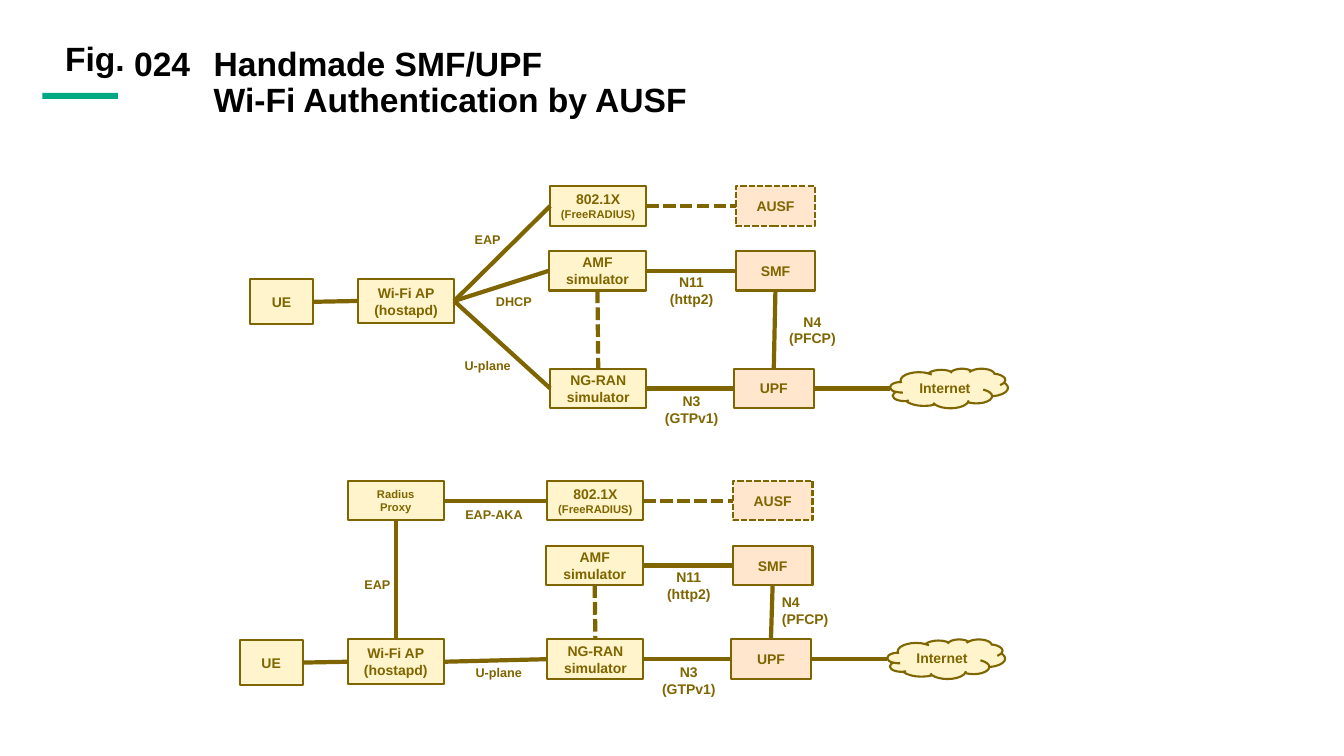
from lxml.etree import SubElement
from pptx import Presentation
from pptx.dml.color import RGBColor
from pptx.enum.dml import MSO_LINE
from pptx.enum.shapes import MSO_CONNECTOR, MSO_SHAPE
from pptx.enum.text import MSO_ANCHOR, MSO_AUTO_SIZE, PP_ALIGN
from pptx.oxml.ns import qn
from pptx.util import Pt

BLACK = RGBColor(0x00, 0x00, 0x00)
GREEN = RGBColor(0x01, 0xA9, 0x82)
BROWN = RGBColor(0x7F, 0x65, 0x00)
CREAM = RGBColor(0xFF, 0xF4, 0xCC)
PEACH = RGBColor(0xFF, 0xE6, 0xCC)
TOP, LEFT, BASE, RIGHT = range(4)


def text(shape, words, size=10, small=None, color=BROWN, align=PP_ALIGN.CENTER,
         anchor=MSO_ANCHOR.MIDDLE, pad=(0, 0), lead=1.0, plain=False):
    frame = shape.text_frame
    frame.word_wrap = True
    frame.auto_size = MSO_AUTO_SIZE.NONE
    frame.vertical_anchor = anchor
    frame.margin_left = frame.margin_right = Pt(pad[0])
    frame.margin_top = frame.margin_bottom = Pt(pad[1])
    for i, line in enumerate(words.split("\n")):
        para = frame.add_paragraph() if i else frame.paragraphs[0]
        para.text = line
        if plain:
            props = para._p.get_or_add_pPr()
            props.set("marL", "0")
            props.set("indent", "0")
            SubElement(props, qn("a:buNone"))
        para.alignment = align
        para.line_spacing = lead
        para.space_before = Pt(0)
        for run in para.runs:
            run.font.name = "Arial"
            run.font.size = Pt(small if i and small else size)
            run.font.bold = True
            run.font.color.rgb = color


def place(shape, x, y, w, h):
    shape.left, shape.top, shape.width, shape.height = Pt(x), Pt(y), Pt(w), Pt(h)


def node(slide, x, y, w, h, words, fill=CREAM, kind=MSO_SHAPE.RECTANGLE,
         dash=False, **form):
    shape = slide.shapes.add_shape(kind, Pt(x), Pt(y), Pt(w), Pt(h))
    shape.shadow.inherit = False
    shape.fill.solid()
    shape.fill.fore_color.rgb = fill
    shape.line.color.rgb = BROWN
    shape.line.width = Pt(1.5)
    if dash:
        shape.line.dash_style = MSO_LINE.SQUARE_DOT
    text(shape, words, **form)
    return shape


def label(slide, x, y, words, **form):
    w, h = 57, 28
    box = slide.shapes.add_textbox(Pt(x - w / 2), Pt(y - h / 2), Pt(w), Pt(h))
    text(box, words, **form)


def wire(slide, x, y, end, dash=False):
    line = slide.shapes.add_connector(MSO_CONNECTOR.STRAIGHT, Pt(x), Pt(y), Pt(end), Pt(y))
    line.line.color.rgb = BROWN
    line.line.width = Pt(3)
    if dash:
        line.line.dash_style = MSO_LINE.SQUARE_DOT
    SubElement(line._element.spPr, qn("a:effectLst"))
    return line


def link(slide, start, end, out=RIGHT, into=LEFT, dash=False):
    line = wire(slide, 0, 0, 0, dash)
    line.begin_connect(start, out)
    line.end_connect(end, into)


def head(slide, x, y):
    bar = slide.shapes.add_shape(MSO_SHAPE.RECTANGLE, Pt(x), Pt(y + 36.2), Pt(54), Pt(4.3))
    bar.shadow.inherit = False
    bar.fill.solid()
    bar.fill.fore_color.rgb = GREEN
    bar.line.fill.background()
    look = dict(size=24, color=BLACK, anchor=MSO_ANCHOR.TOP, lead=0.9)
    fig = slide.shapes.add_textbox(Pt(x + 2), Pt(y), Pt(57), Pt(34))
    text(fig, "Fig.", align=PP_ALIGN.RIGHT, **look)
    look.update(align=PP_ALIGN.LEFT, pad=(7.2, 3.6))
    title, count = slide.shapes.title, slide.placeholders[1]
    place(title, x + 115.2, y, 785, 34)
    text(title, "Handmade SMF/UPF\vWi-Fi Authentication by AUSF", **look)
    place(count, x + 58.4, y, 57, 34)
    text(count, "024", plain=True, **look)


def core(slide, x, y, drop):
    wide, slim, tall = 68.6, 57, 28.3
    auth = node(slide, x, y, wide, tall, "802.1X\n(FreeRADIUS)", small=8)
    amf = node(slide, x - 1, y + 46.3, wide + 1, tall, "AMF\nsimulator")
    ran = node(slide, x, y + drop, wide, tall, "NG-RAN\nsimulator")
    ausf = node(slide, x + 132.4, y, slim, tall, "AUSF", PEACH, dash=True)
    smf = node(slide, x + 132.4, y + 46.3, slim, tall, "SMF", PEACH)
    upf = node(slide, x + 131.2, y + drop, slim, tall, "UPF", PEACH)
    wire(slide, x + 131.2 + slim, y + drop + tall / 2, x + 242.8)
    node(slide, x + 242.8, y + drop, 84.2, tall, "Internet", kind=MSO_SHAPE.CLOUD)
    link(slide, auth, ausf, dash=True)
    link(slide, amf, smf)
    link(slide, ran, upf)
    link(slide, amf, ran, BASE, TOP, dash=True)
    link(slide, upf, smf, TOP, BASE)
    label(slide, x + 101, y + 74.6, "N11\n(http2)")
    label(slide, x + 101, y + drop + 29.3, "N3\n(GTPv1)")
    return auth, amf, ran


def access(slide, x, y):
    user = node(slide, x - 77.2, y + 0.6, 45, 32, "UE")
    point = node(slide, x, y, 68.6, 32, "Wi-Fi AP\n(hostapd)")
    link(slide, user, point)
    return point


def direct(slide, x, y):
    point = access(slide, x, y + 66)
    for goal in core(slide, x + 137.2, y, 130.3):
        link(slide, point, goal)
    label(slide, x + 324.5, y + 102.7, "N4\n(PFCP)")
    for dx, dy, words in ((92.5, 38, "EAP"), (111.2, 82, "DHCP"), (92.5, 128.4, "U-plane")):
        label(slide, x + dx, y + dy, words, size=9)


def proxied(slide, x, y):
    drop = 113.2
    point = access(slide, x, y + drop)
    proxy = node(slide, x, y, 68.6, 28.3, "Radius\nProxy", size=8)
    auth, amf, ran = core(slide, x + 142.6, y, drop)
    link(slide, proxy, auth)
    link(slide, point, proxy, TOP, BASE)
    link(slide, point, ran)
    label(slide, x + 331.5, y + 92.6, "N4\n(PFCP)", align=PP_ALIGN.LEFT, pad=(7.2, 0))
    for dx, dy, words in ((21.2, 74.3, "EAP"), (104.4, 23.8, "EAP-AKA"), (107.8, 136.8, "U-plane")):
        label(slide, x + dx, y + dy, words, size=9)


def main():
    deck = Presentation()
    deck.slide_width, deck.slide_height = Pt(960), Pt(540)
    slide = deck.slides.add_slide(deck.slide_layouts[1])
    head(slide, 30.2, 30.2)
    direct(slide, 255.8, 133)
    proxied(slide, 248.4, 343.5)
    deck.save("out.pptx")


if __name__ == "__main__":
    main()
